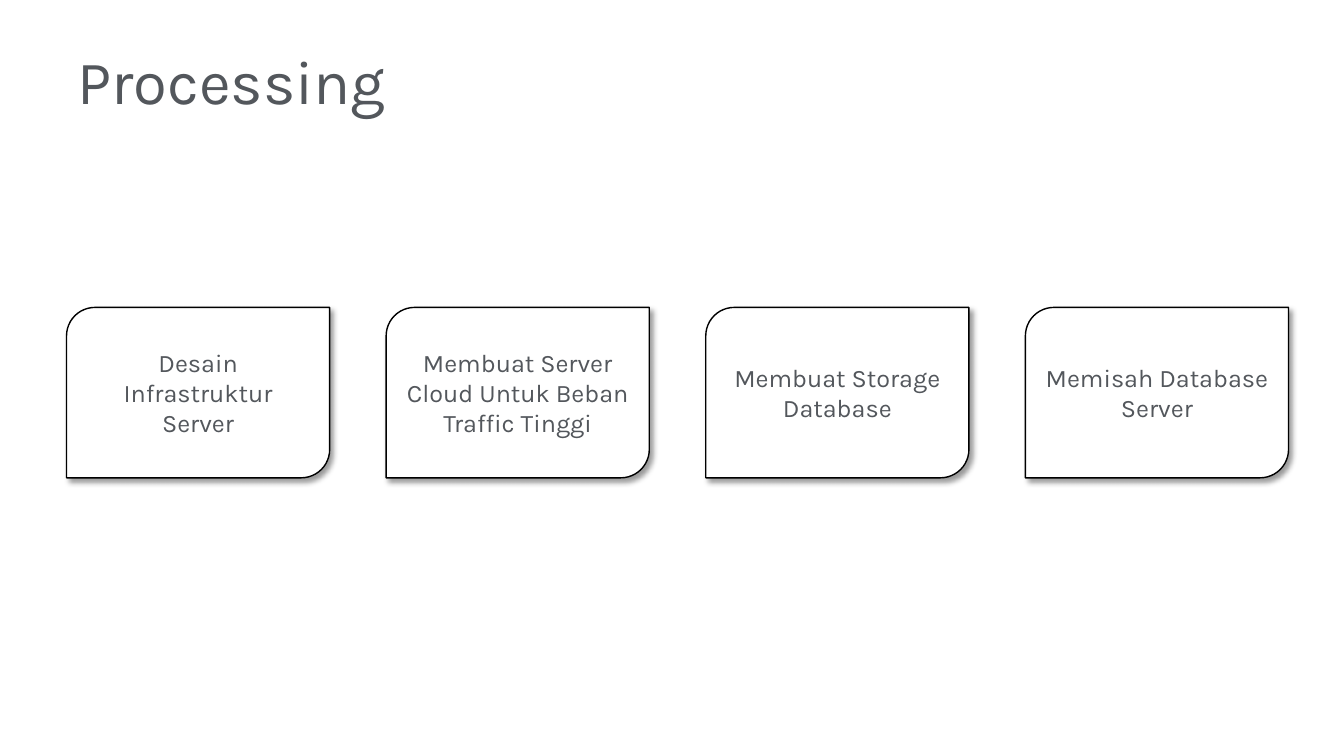
from lxml import etree
from pptx import Presentation
from pptx.dml.color import RGBColor
from pptx.enum.shapes import MSO_SHAPE
from pptx.enum.text import MSO_ANCHOR, PP_ALIGN
from pptx.oxml import parse_xml
from pptx.oxml.ns import nsdecls, qn
from pptx.util import Inches, Pt

# Content
TITLE = "Processing"
STEPS = [
    "Desain Infrastruktur Server",
    "Membuat Server Cloud Untuk Beban Traffic Tinggi",
    "Membuat Storage Database",
    "Memisah Database Server",
]

# Style
FONT = "Karla"
GREY = RGBColor(0x53, 0x57, 0x5C)
WHITE = RGBColor(0xFF, 0xFF, 0xFF)
BLACK = RGBColor(0x00, 0x00, 0x00)
CARD_SHAPE = MSO_SHAPE.ROUND_2_DIAG_RECTANGLE
MIDDLE = MSO_ANCHOR.MIDDLE
LEFT, CENTER = PP_ALIGN.LEFT, PP_ALIGN.CENTER

# Card row, in inches
CARD_LEFT, CARD_TOP = 0.66, 3.05
CARD_W, CARD_H = 2.61, 1.69
CARD_PITCH = 3.17


def set_text(sp, text, size, align):
    tf = sp.text_frame
    tf.word_wrap = True
    tf.vertical_anchor = MIDDLE
    tf.text = text
    p = tf.paragraphs[0]
    p.alignment = align
    font = p.runs[0].font
    font.name, font.size = FONT, Pt(size)
    font.color.rgb = GREY


def add_shadow(sp):
    """Soft black shadow at 40% opacity: 4 pt blur, 3 pt away, at 45 degrees."""
    sp.shadow.inherit = False
    effects = sp._element.spPr.find(qn("a:effectLst"))
    effects.append(parse_xml(
        f'<a:outerShdw {nsdecls("a")} blurRad="{Pt(4)}" dist="{Pt(3)}" '
        f'dir="{45 * 60000}" algn="tl" rotWithShape="0"/>'))
    color = etree.SubElement(effects[0], qn("a:srgbClr"), val=str(BLACK))
    etree.SubElement(color, qn("a:alpha"), val="40000")


prs = Presentation()
prs.slide_width, prs.slide_height = Inches(13.33), Inches(7.5)
slide = prs.slides.add_slide(prs.slide_layouts[6])

# Title
title = slide.shapes.add_textbox(Inches(0.67), Inches(0.47), Inches(12), Inches(0.64))
set_text(title, TITLE, 44, LEFT)

# Step cards
for i, step in enumerate(STEPS):
    sp = slide.shapes.add_shape(
        CARD_SHAPE, Inches(CARD_LEFT + i * CARD_PITCH), Inches(CARD_TOP),
        Inches(CARD_W), Inches(CARD_H))
    sp.fill.solid()
    sp.fill.fore_color.rgb = WHITE
    sp.line.color.rgb = BLACK
    sp.line.width = Pt(1)
    add_shadow(sp)
    set_text(sp, step, 18, CENTER)

prs.save("out.pptx")
